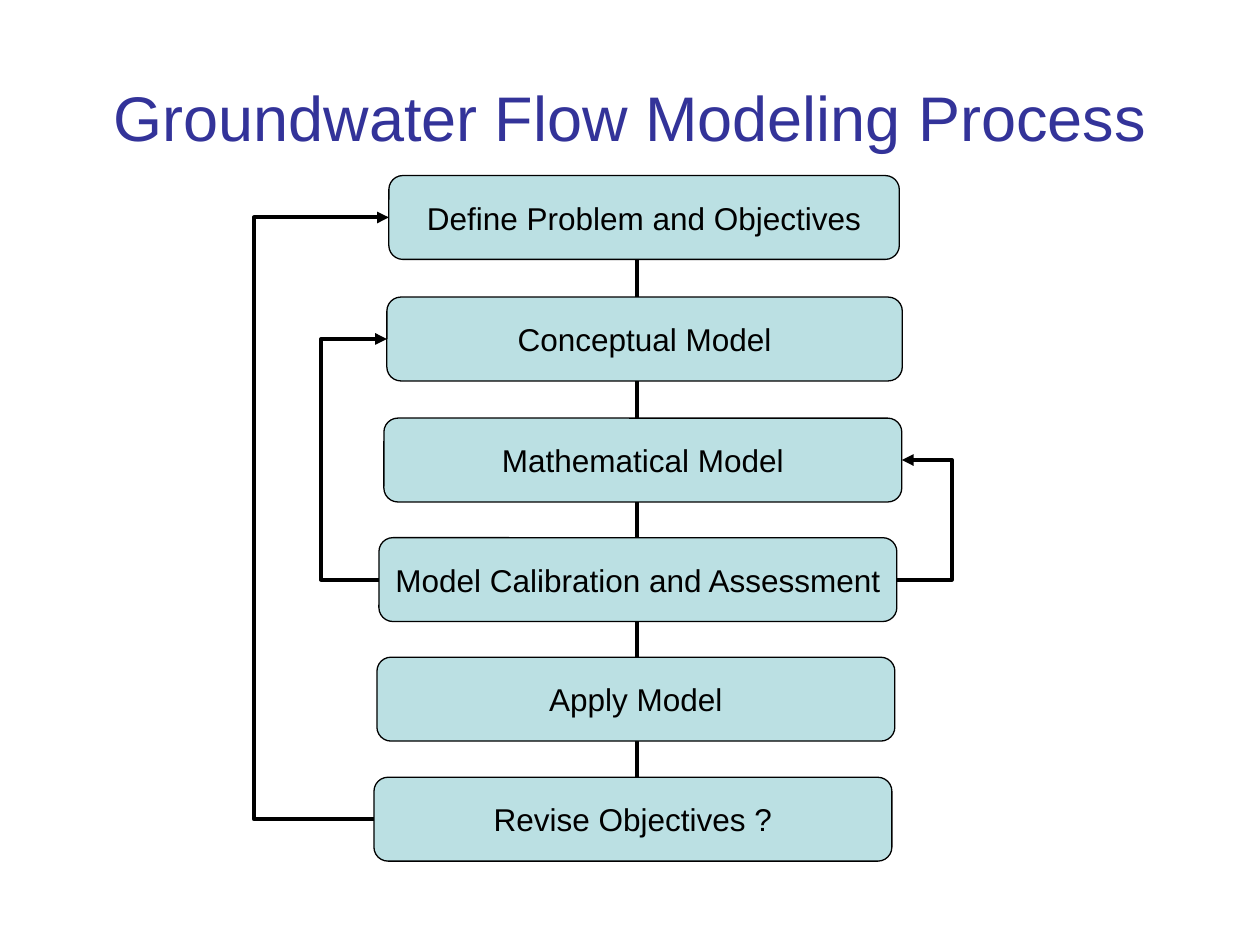
from lxml.etree import SubElement
from pptx import Presentation
from pptx.dml.color import RGBColor
from pptx.enum.shapes import MSO_CONNECTOR, MSO_SHAPE
from pptx.enum.text import MSO_ANCHOR, PP_ALIGN
from pptx.oxml.ns import qn
from pptx.util import Cm, Pt

TITLE_BLUE = RGBColor(0x33, 0x33, 0x99)
STEP_FILL = RGBColor(0xBB, 0xE0, 0xE3)
BLACK = RGBColor(0, 0, 0)

LEFT_SITE, RIGHT_SITE = 1, 3
STEP_HEIGHT = 1.69
SPINE_X = 12.85

STEPS = [
    ("Define Problem and Objectives", 7.84, 3.54, 10.29),
    ("Conceptual Model", 7.8, 5.99, 10.39),
    ("Mathematical Model", 7.74, 8.43, 10.44),
    ("Model Calibration and Assessment", 7.64, 10.84, 10.44),
    ("Apply Model", 7.6, 13.25, 10.44),
    ("Revise Objectives ?", 7.54, 15.67, 10.44),
]

FEEDBACK_LOOPS = [
    (5, 0, LEFT_SITE, 5.12),
    (3, 1, LEFT_SITE, 6.47),
    (3, 2, RIGHT_SITE, 19.19),
]


def write_text(shape, text, size, color, wrap):
    frame = shape.text_frame
    frame.word_wrap = wrap
    frame.vertical_anchor = MSO_ANCHOR.MIDDLE
    paragraph = frame.paragraphs[0]
    paragraph.alignment = PP_ALIGN.CENTER
    run = paragraph.add_run()
    run.text = text
    run.font.color.rgb = color
    for name, value in {"name": "Arial", "size": Pt(size)}.items():
        setattr(run.font, name, value)


def add_title(slide, text):
    title = slide.shapes.add_textbox(Cm(1.27), Cm(0.76), Cm(22.86), Cm(3.18))
    write_text(title, text, 36, TITLE_BLUE, True)


def add_step(slide, text, left, top, width):
    step = slide.shapes.add_shape(
        MSO_SHAPE.FLOWCHART_ALTERNATE_PROCESS,
        Cm(left), Cm(top), Cm(width), Cm(STEP_HEIGHT),
    )
    step.shadow.inherit = False
    step.fill.solid()
    step.fill.fore_color.rgb = STEP_FILL
    step.line.color.rgb = BLACK
    step.line.width = Pt(0.75)
    write_text(step, text, 18, BLACK, False)
    return step


def add_line(slide, kind, *ends):
    connector = slide.shapes.add_connector(kind, *ends)
    connector.line.color.rgb = BLACK
    connector.line.width = Pt(2.25)
    SubElement(connector._element.spPr, qn("a:effectLst"))
    return connector


def add_feedback_loop(slide, source, target, site, turn_x):
    connector = add_line(slide, MSO_CONNECTOR.ELBOW, 0, 0, 0, 0)
    connector.begin_connect(source, site)
    connector.end_connect(target, site)
    span = connector.end_x - connector.begin_x
    bend = round((Cm(turn_x) - connector.begin_x) / span * 100000)
    properties = connector._element.spPr
    adjustments = properties.find(qn("a:prstGeom")).find(qn("a:avLst"))
    SubElement(adjustments, qn("a:gd"), name="adj1", fmla=f"val {bend}")
    SubElement(properties.find(qn("a:ln")), qn("a:tailEnd"), type="triangle")


def main():
    presentation = Presentation()
    presentation.slide_width = Cm(25.4)
    presentation.slide_height = Cm(19.05)
    slide = presentation.slides.add_slide(presentation.slide_layouts[6])
    add_line(slide, MSO_CONNECTOR.STRAIGHT,
             Cm(SPINE_X), Cm(3.54), Cm(SPINE_X), Cm(16.69))
    add_title(slide, "Groundwater Flow Modeling Process")
    steps = [add_step(slide, *step) for step in STEPS]
    for source, target, site, turn_x in FEEDBACK_LOOPS:
        add_feedback_loop(slide, steps[source], steps[target], site, turn_x)
    presentation.save("out.pptx")


main()
